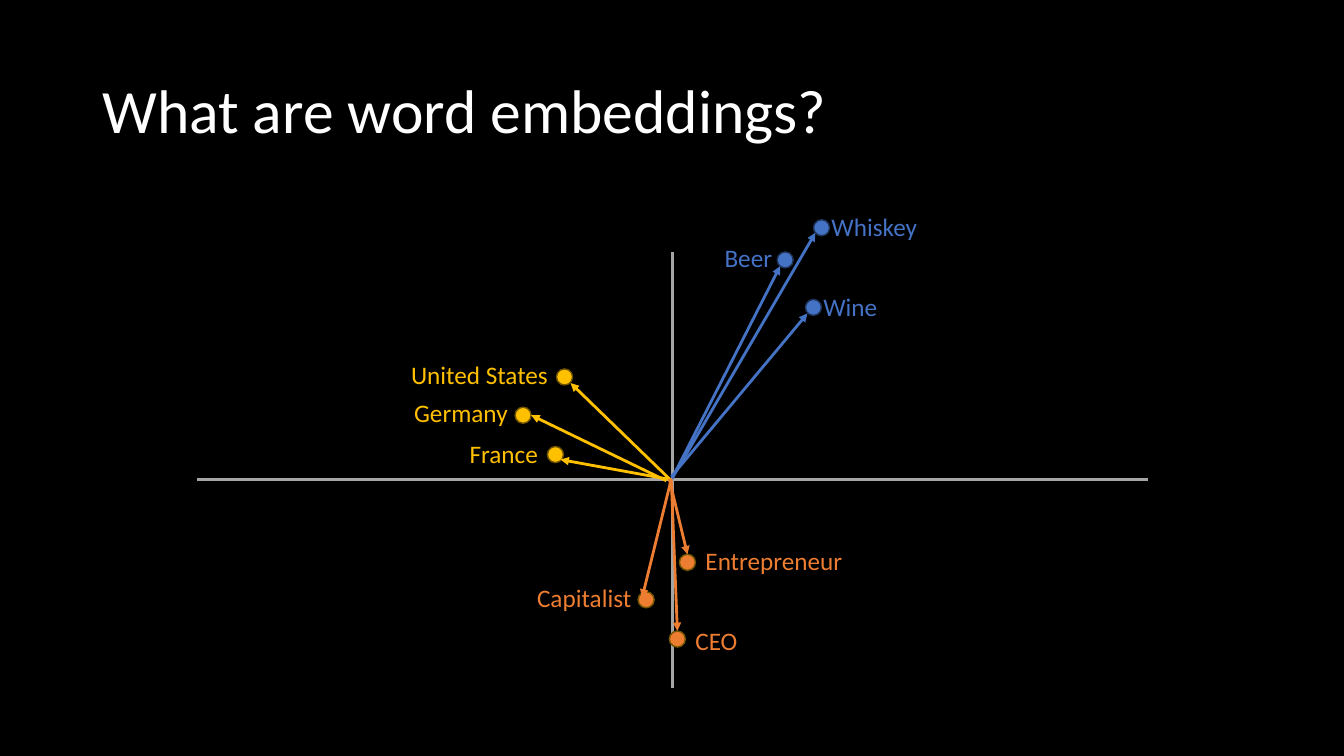
from collections import namedtuple

from lxml.etree import SubElement
from pptx import Presentation
from pptx.dml.color import RGBColor
from pptx.enum.shapes import MSO_CONNECTOR as Connector, MSO_SHAPE as Shape
from pptx.enum.text import MSO_ANCHOR as Anchor, MSO_AUTO_SIZE as AutoSize, PP_ALIGN as Align
from pptx.oxml.ns import qn
from pptx.util import Pt

COLORS = {
    "background": "000000",
    "title": "FFFFFF",
    "axis": "A5A5A5",
    "drinks": "4472C4",
    "drinks edge": "1E3256",
    "countries": "FFC000",
    "countries edge": "705400",
    "business": "ED7D31",
    "business edge": "705400",
}
FONT = "Calibri"
DOT_SIZE = 11.5
LABEL_HEIGHT = 29
LINE_WIDTH = 2

Box = namedtuple("Box", "left top width height")
Word = namedtuple("Word", "text group dot label label_width start tip")

TITLE_BOX = Box(66, 28.8, 828, 104.4)
PLOT_BOX = Box(140.4, 180, 679.7, 311.8)
ORIGIN_DROP = 162.7

WORDS = [
    Word("Beer", "drinks", (80.6, -157), (30.2, -173.5), 49, (-0.7, 0), (77, -152.6)),
    Word("Wine", "drinks", (100.8, -123.1), (100.8, -138.2), 53.3, (-0.7, -2.2), (96.5, -118.8)),
    Word("Whiskey", "drinks", (106.6, -180), (106.6, -195.1), 76.3, (-0.7, 0), (102.2, -176.4)),
    Word("Germany", "countries", (-106.6, -46.1), (-191.5, -62.6), 82.1, (-4.3, 0.7), (-100.8, -46.1)),
    Word("France", "countries", (-83.5, -18), (-151.9, -33.1), 64.1, (-0.7, 0), (-79.9, -14.4)),
    Word("United States", "countries", (-77, -73.4), (-193.7, -89.3), 113, (-0.7, 0.7), (-72.7, -69.1)),
    Word("Capitalist", "business", (-18.7, 85.7), (-103.7, 69.8), 82.8, (-0.7, -0.7), (-21.6, 84.2)),
    Word("CEO", "business", (3.6, 113.8), (9.4, 100.1), 44.6, (-0.7, 0.7), (3.6, 108)),
    Word("Entrepreneur", "business", (10.8, 59), (16.6, 43.2), 113, (-2.2, -0.7), (10.8, 53.3)),
]


def color(name):
    return RGBColor.from_string(COLORS[name])


def add_run(para, text, size, color_name):
    span = para.add_run()
    span.text = text
    span.font.name = FONT
    span.font.size = Pt(size)
    span.font.color.rgb = color(color_name)


def add_title(page, box):
    title = page.shapes.title
    title.left, title.top, title.width, title.height = map(Pt, box)
    frame = title.text_frame
    frame.vertical_anchor = Anchor.MIDDLE
    para = frame.paragraphs[0]
    para.alignment = Align.LEFT
    para.line_spacing = 0.9
    add_run(para, "What are word embeddings?", 44, "title")


def add_line(page, start, end, color_name, arrow=False):
    line = page.shapes.add_connector(Connector.STRAIGHT, *map(Pt, (*start, *end)))
    line.line.color.rgb = color(color_name)
    line.line.width = Pt(LINE_WIDTH)
    if arrow:
        SubElement(line.line._get_or_add_ln(), qn("a:tailEnd"), type="triangle")
    SubElement(line._element.spPr, qn("a:effectLst"))


def add_dot(page, center, group):
    left, top = (value - DOT_SIZE / 2 for value in center)
    dot = page.shapes.add_shape(Shape.OVAL, *map(Pt, (left, top, DOT_SIZE, DOT_SIZE)))
    dot.shadow.inherit = False
    dot.fill.solid()
    dot.fill.fore_color.rgb = color(group)
    dot.line.color.rgb = color(f"{group} edge")
    dot.line.width = Pt(1)


def add_label(page, box, text, group):
    label = page.shapes.add_textbox(*map(Pt, box))
    frame = label.text_frame
    frame.word_wrap = False
    frame.auto_size = AutoSize.SHAPE_TO_FIT_TEXT
    add_run(frame.paragraphs[0], text, 18, group)


def add_vector_plot(page, box):
    center_x = box.left + box.width / 2
    center_y = box.top + ORIGIN_DROP

    def place(offset):
        return center_x + offset[0], center_y + offset[1]

    add_line(page, (center_x, box.top), (center_x, box.top + box.height), "axis")
    add_line(page, (box.left, center_y), (box.left + box.width, center_y), "axis")
    for word in WORDS:
        add_dot(page, place(word.dot), word.group)
        label_box = Box(*place(word.label), word.label_width, LABEL_HEIGHT)
        add_label(page, label_box, word.text, word.group)
        add_line(page, place(word.start), place(word.tip), word.group, arrow=True)


def main():
    deck = Presentation()
    deck.slide_width, deck.slide_height = Pt(960), Pt(540)
    page = deck.slides.add_slide(deck.slide_layouts.get_by_name("Title Only"))
    page.background.fill.solid()
    page.background.fill.fore_color.rgb = color("background")
    add_title(page, TITLE_BOX)
    add_vector_plot(page, PLOT_BOX)
    deck.save("out.pptx")


if __name__ == "__main__":
    main()
